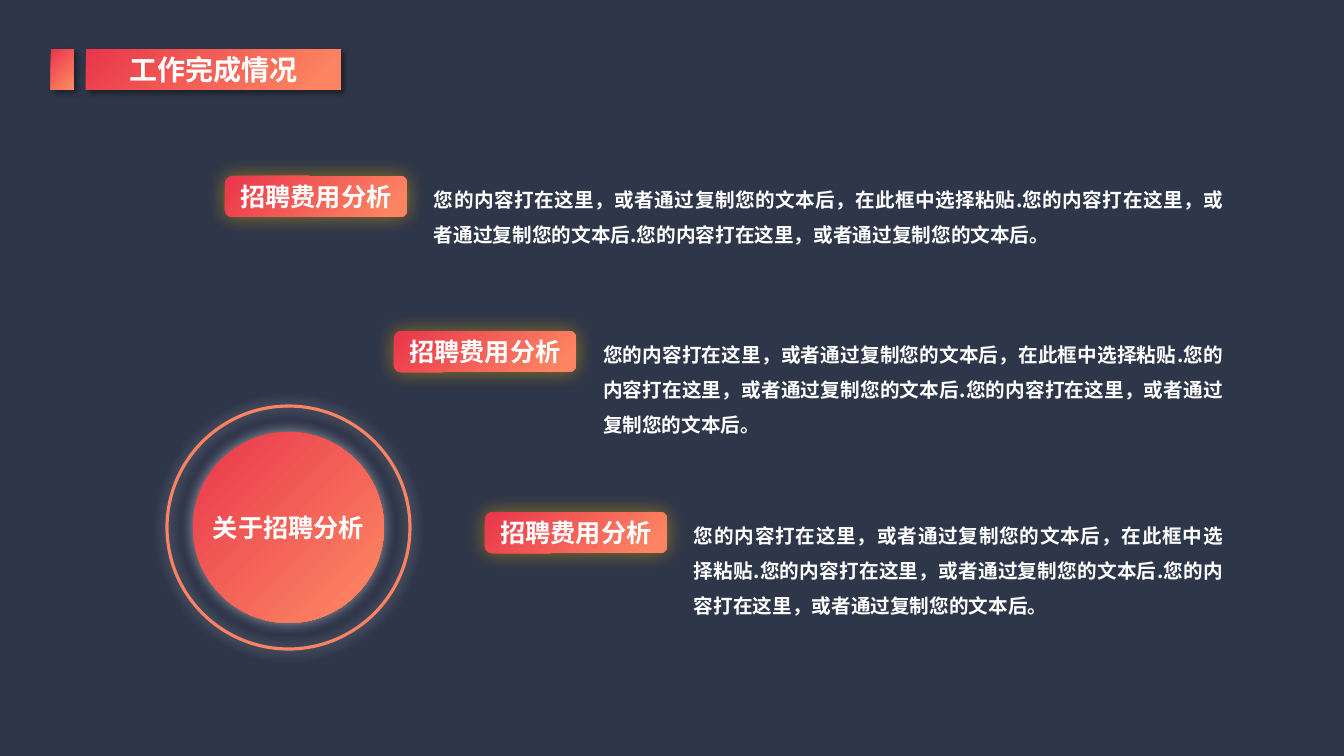
import pptx
import pptx.util
import pptx.dml.color
import pptx.enum.shapes
import pptx.enum.text
import pptx.oxml.ns
import lxml.etree

SCALE = 914400 / 100.8
COLORS = {
    "night": "2E3649", "red": "E9364B", "orange": "FC8462", "ring": "FE8263",
    "white": "FFFFFF", "black": "000000", "gold": "FFC000",
}
FONT = "Noto Sans CJK SC"
SHAPES = pptx.enum.shapes.MSO_SHAPE
ALIGN = pptx.enum.text.PP_ALIGN
ANCHOR = pptx.enum.text.MSO_ANCHOR
AUTO_SIZE = pptx.enum.text.MSO_AUTO_SIZE
QN = pptx.oxml.ns.qn
DETAIL = (
    "您的内容打在这里，或者通过复制您的文本后，在此框中选择粘贴."
    "您的内容打在这里，或者通过复制您的文本后."
    "您的内容打在这里，或者通过复制您的文本后。"
)
TOPICS = [
    ("招聘费用分析", DETAIL, (225, 176, 998, 68)),
    ("招聘费用分析", DETAIL, (394, 331, 829, 103)),
    ("招聘费用分析", DETAIL, (485, 512, 738, 103)),
]


def px(count):
    return pptx.util.Emu(round(count * SCALE))


def rgb(name):
    return pptx.dml.color.RGBColor.from_string(COLORS[name])


def set_values(target, values):
    for name, value in values.items():
        setattr(target, name, value)


def place(shape, box):
    set_values(shape, dict(zip(("left", "top", "width", "height"), map(px, box))))


def paint_gradient(shape):
    shape.fill.gradient()
    shape.fill.gradient_angle = 315
    for stop, color, position in zip(shape.fill.gradient_stops, ("red", "orange"), (0, 0.9)):
        stop.color.rgb = rgb(color)
        stop.position = position
    shape.line.fill.background()


def cast_shadow(shape, color, opacity, blur, distance=0, angle=0):
    shape.shadow.inherit = False
    effects = shape._element.spPr.find(QN("a:effectLst"))
    shadow = lxml.etree.SubElement(effects, QN("a:outerShdw"), {
        "blurRad": str(pptx.util.Pt(blur)), "dist": str(pptx.util.Pt(distance)),
        "dir": str(angle * 60000), "algn": "ctr", "rotWithShape": "0",
    })
    tint = lxml.etree.SubElement(shadow, QN("a:srgbClr"), val=COLORS[color])
    lxml.etree.SubElement(tint, QN("a:alpha"), val=str(opacity * 1000))


def write(shape, text, size, font=FONT, frame_values=None, para_values=None):
    frame = shape.text_frame
    set_values(frame, {"word_wrap": True, "auto_size": AUTO_SIZE.NONE,
                       "vertical_anchor": ANCHOR.MIDDLE, **(frame_values or {})})
    para = frame.paragraphs[0]
    set_values(para, {"alignment": ALIGN.CENTER, **(para_values or {})})
    span = para.add_run()
    span.text = text
    set_values(span.font, {"name": font, "size": pptx.util.Pt(size), "bold": True})
    span.font.color.rgb = rgb("white")
    lxml.etree.SubElement(span._r.get_or_add_rPr(), QN("a:ea"), typeface=FONT)


def add_shape(page, kind, box):
    return page.shapes.add_shape(kind, *map(px, box))


def add_heading(page, text, box):
    left, top, width, height = box
    bar_width, title_offset = 23, 35
    title = page.shapes.title
    place(title, (left + title_offset, top, width - title_offset, height))
    bar = add_shape(page, SHAPES.RECTANGLE, (left, top, bar_width, height))
    for shape in (title, bar):
        paint_gradient(shape)
        cast_shadow(shape, "black", 40, 4, 3, 45)
    write(title, text, 20, "Arial Narrow")


def add_emblem(page, text, box):
    left, top, size, _ = box
    inset = 26
    core_size = size - 2 * inset
    core = add_shape(page, SHAPES.OVAL, (left + inset, top + inset, core_size, core_size))
    paint_gradient(core)
    cast_shadow(core, "white", 50, 10)
    ring = add_shape(page, SHAPES.OVAL, box)
    ring.fill.background()
    ring.line.color.rgb = rgb("ring")
    ring.line.width = pptx.util.Pt(2.25)
    cast_shadow(ring, "white", 45, 10)
    label_width, label_height = 173, 40
    label = page.shapes.add_textbox(*map(px, (
        left + (size - label_width) / 2, top + (size - label_height) / 2,
        label_width, label_height)))
    write(label, text, 18, frame_values={"word_wrap": False})


def add_topic(page, name, detail, box):
    left, top, width, height = box
    text_offset = 209
    tag = add_shape(page, SHAPES.ROUNDED_RECTANGLE, (left, top, 182, 41))
    paint_gradient(tag)
    cast_shadow(tag, "gold", 48, 14)
    write(tag, name, 18)
    body = page.shapes.add_textbox(*map(px, (
        left + text_offset, top, width - text_offset, height)))
    margins = dict.fromkeys(("margin_left", "margin_top", "margin_right", "margin_bottom"), 0)
    write(body, detail, 14,
          frame_values={"vertical_anchor": ANCHOR.TOP, **margins},
          para_values={"alignment": ALIGN.JUSTIFY, "line_spacing": pptx.util.Pt(25.2)})


def main():
    deck = pptx.Presentation()
    set_values(deck, {"slide_width": px(1344), "slide_height": px(756)})
    page = deck.slides.add_slide(deck.slide_layouts.get_by_name("Title Only"))
    page.background.fill.solid()
    page.background.fill.fore_color.rgb = rgb("night")
    add_heading(page, "工作完成情况", (51, 49, 290, 41))
    add_emblem(page, "关于招聘分析", (167, 406, 243, 243))
    for name, detail, box in TOPICS:
        add_topic(page, name, detail, box)
    deck.save("out.pptx")


if __name__ == "__main__":
    main()
